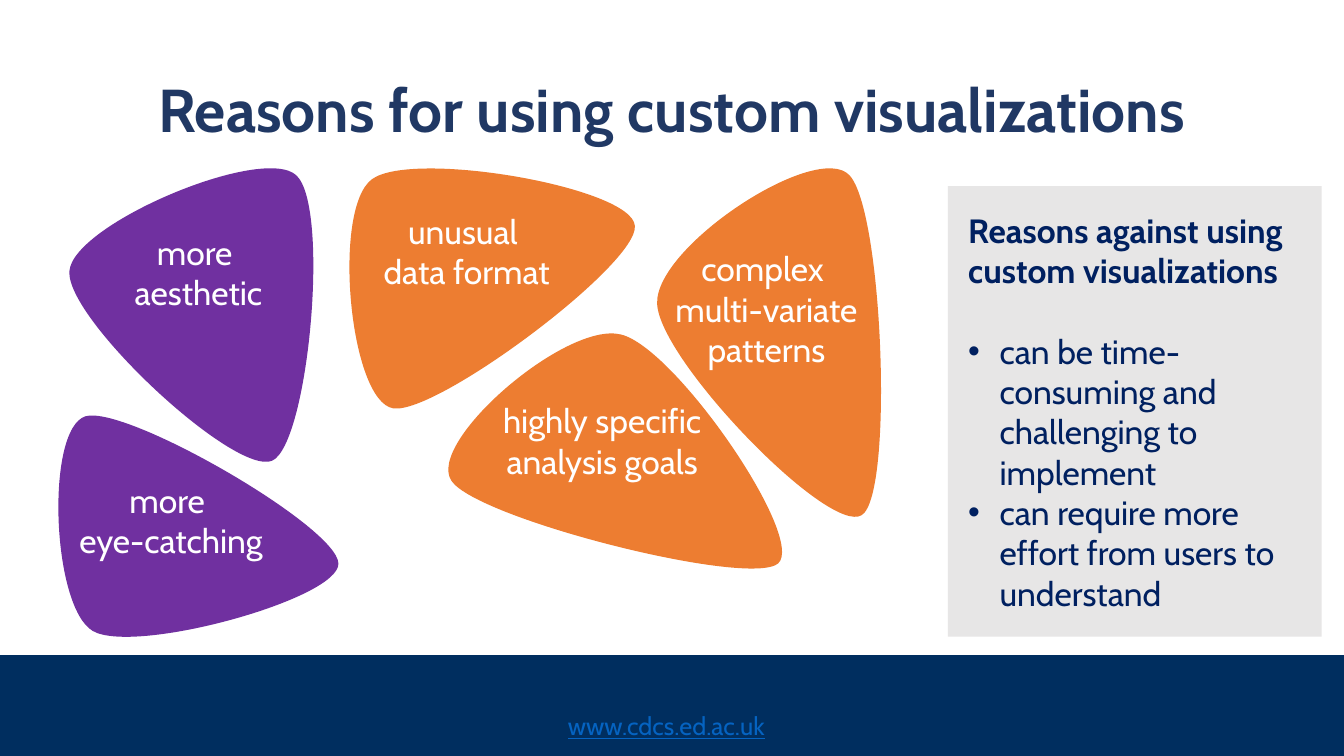
from dataclasses import dataclass

from lxml import etree
from pptx import Presentation
from pptx import util as u
from pptx.dml.color import RGBColor
from pptx.enum import shapes, text
from pptx.oxml.ns import qn

COLOURS = {
    "footer": "002E5F", "link": "0563C1", "title": "203864",
    "looks": "7030A0", "data": "ED7D31", "label": "FFFFFF",
    "panel": "E7E6E6", "against": "002060",
}
FONT = "Cabin"

Point = tuple[float, float]


@dataclass
class Reason:
    lines: list[str]
    colour: str
    label_box: tuple[float, float, float, float]  # left, top, width, height in cm
    outline: list[Point]  # closed run of cubic curves: node, handle, handle, node, ...


REASONS = [
    Reason(["more ", "aesthetic"], "looks", (2.42, 5.72, 5.16, 2.31),
           [(1.75, 6.83), (1.85, 5.64), (6.63, 3.63), (7.47, 4.42), (8.33, 5.23),
            (7.77, 11.2), (6.86, 11.61), (5.92, 12.01), (1.65, 8.03)]),
    Reason(["unusual ", "data format"], "data", (8.9, 5.18, 5.72, 2.31),
           [(9.37, 4.52), (10.39, 3.76), (15.93, 4.72), (16, 5.69), (16.1, 6.65),
            (11, 10.46), (9.91, 10.29), (8.81, 10.11), (8.36, 5.28)]),
    Reason(["complex ", "multi-variate patterns"], "data", (16.52, 6.13, 5.59, 3.33),
           [(16.56, 7.65), (16.61, 9.07), (20.9, 13.51), (21.72, 12.98), (22.53, 12.45),
            (22.25, 5.31), (21.41, 4.42), (20.6, 3.53), (16.51, 6.2)]),
    Reason(["highly specific ", "analysis goals"], "data", (12.38, 9.96, 5.59, 2.31),
           [(11.38, 12.12), (10.72, 11.15), (14.27, 8.08), (15.65, 8.43), (17.02, 8.76),
            (20.32, 13.56), (19.61, 14.2), (18.87, 14.81), (12.04, 13.08)]),
    Reason(["more ", "eye-catching"], "looks", (0.79, 11.96, 7.04, 2.31),
           [(2.16, 10.49), (3.2, 10.21), (8.51, 13.28), (8.53, 14.2), (8.56, 15.09),
            (3.4, 16.51), (2.34, 15.9), (1.3, 15.29), (1.14, 10.8)]),
]
DRAWBACKS = [
    "can be time-consuming and challenging to implement",
    "can require more effort from users to understand",
]


def write(frame, words: str, *, size: float, colour: str, bold: bool = False,
          underline: bool = False, align=text.PP_ALIGN.LEFT, first: bool = True,
          bullet: bool = False, spacing: float = 1.0, after: float = 0) -> None:
    """Write one paragraph, into the first one of the frame or a new one."""
    paragraph = frame.paragraphs[0] if first else frame.add_paragraph()
    paragraph.alignment = align
    paragraph.line_spacing = spacing
    paragraph.space_before = u.Pt(0)
    paragraph.space_after = u.Pt(after)
    properties = paragraph._p.get_or_add_pPr()
    indent = u.Cm(0.79) if bullet else 0
    properties.set("marL", str(indent))
    properties.set("indent", str(-indent))
    if bullet:
        etree.SubElement(properties, qn("a:buFont")).set("typeface", "Arial")
        etree.SubElement(properties, qn("a:buChar")).set("char", "•")
    else:
        etree.SubElement(properties, qn("a:buNone"))
    run = paragraph.add_run()
    run.text = words
    font = run.font
    font.name, font.size, font.bold, font.underline = FONT, u.Pt(size), bold, underline
    font.color.rgb = RGBColor.from_string(COLOURS[colour])


def paint(shape, colour: str) -> None:
    shape.fill.solid()
    shape.fill.fore_color.rgb = RGBColor.from_string(COLOURS[colour])
    shape.line.fill.background()


def place(shape, left: float, top: float, width: float, height: float) -> None:
    shape.left, shape.top = u.Cm(left), u.Cm(top)
    shape.width, shape.height = u.Cm(width), u.Cm(height)


def curve_extent(curves: list[list[Point]], axis: int) -> Point:
    """Find the lowest and highest value that the curves reach on one axis."""
    values = []
    for curve in curves:
        a, b, c, d = (point[axis] for point in curve)
        for t in (step / 100 for step in range(101)):
            s = 1 - t
            values.append(s ** 3 * a + 3 * s * s * t * b + 3 * s * t * t * c + t ** 3 * d)
    return min(values), max(values)


def draw_petal(slide, reason: Reason) -> None:
    closed = reason.outline + reason.outline[:1]
    curves = [closed[start:start + 4] for start in range(0, len(reason.outline), 3)]
    left, right = curve_extent(curves, 0)
    top, bottom = curve_extent(curves, 1)

    corners = [(u.Cm(x), u.Cm(y)) for x, y in closed[::3]]
    builder = slide.shapes.build_freeform(*corners[0])
    builder.add_line_segments(corners[1:], close=True)
    petal = builder.convert_to_shape()
    petal.shadow.inherit = False
    paint(petal, reason.colour)
    place(petal, left, top, right - left, bottom - top)

    # Bend the straight sides into cubic curves
    def set_point(element, point: Point) -> None:
        element.set("x", str(u.Cm(point[0] - left)))
        element.set("y", str(u.Cm(point[1] - top)))

    outline = next(petal._element.iter(qn("a:path")))
    outline.set("w", str(petal.width))
    outline.set("h", str(petal.height))
    set_point(outline.find(qn("a:moveTo"))[0], closed[0])
    for side, curve in zip(outline.findall(qn("a:lnTo")), curves):
        bend = etree.Element(qn("a:cubicBezTo"))
        for point in curve[1:]:
            set_point(etree.SubElement(bend, qn("a:pt")), point)
        outline.replace(side, bend)


def add_text_box(slide, box: tuple[float, float, float, float]):
    frame = slide.shapes.add_textbox(*map(u.Cm, box)).text_frame
    frame.word_wrap = True
    return frame


def draw_label(slide, reason: Reason) -> None:
    frame = add_text_box(slide, reason.label_box)
    for number, line in enumerate(reason.lines):
        write(frame, line, size=24, colour="label", align=text.PP_ALIGN.CENTER,
              first=number == 0)


def main() -> None:
    deck = Presentation()
    deck.slide_width, deck.slide_height = u.Cm(33.87), u.Cm(19.05)
    slide = deck.slides.add_slide(deck.slide_layouts[1])

    # Footer band with web address
    footer = slide.shapes.add_shape(shapes.MSO_SHAPE.RECTANGLE, 0, u.Cm(16.51),
                                    deck.slide_width, u.Cm(2.54))
    footer.shadow.inherit = False
    paint(footer, "footer")
    address = add_text_box(slide, (14.06, 17.78, 5.77, 1.02))
    write(address, "www.cdcs.ed.ac.uk", size=18, colour="link", underline=True)

    # Title
    title = slide.shapes.title
    place(title, 2.32, 1, 29.21, 3.68)
    title.text_frame.vertical_anchor = text.MSO_ANCHOR.MIDDLE
    title.text_frame.auto_size = text.MSO_AUTO_SIZE.NONE
    write(title.text_frame, "Reasons for using custom visualizations", size=43.2,
          colour="title", bold=True, align=text.PP_ALIGN.CENTER, spacing=0.9)

    # Reasons in favour
    for reason in REASONS:
        draw_petal(slide, reason)
    for reason in REASONS:
        draw_label(slide, reason)

    # Reasons against
    against = slide.placeholders[1]
    place(against, 23.89, 4.69, 9.42, 11.35)
    paint(against, "panel")
    frame = against.text_frame
    frame.vertical_anchor = text.MSO_ANCHOR.MIDDLE
    frame.auto_size = text.MSO_AUTO_SIZE.NONE
    frame.margin_left, frame.margin_right = u.Cm(0.51), u.Cm(0.25)
    write(frame, "Reasons against using custom visualizations", size=24,
          colour="against", bold=True, after=28.8)
    for drawback in DRAWBACKS:
        write(frame, drawback, size=24, colour="against", first=False, bullet=True)

    deck.save("out.pptx")


if __name__ == "__main__":
    main()
